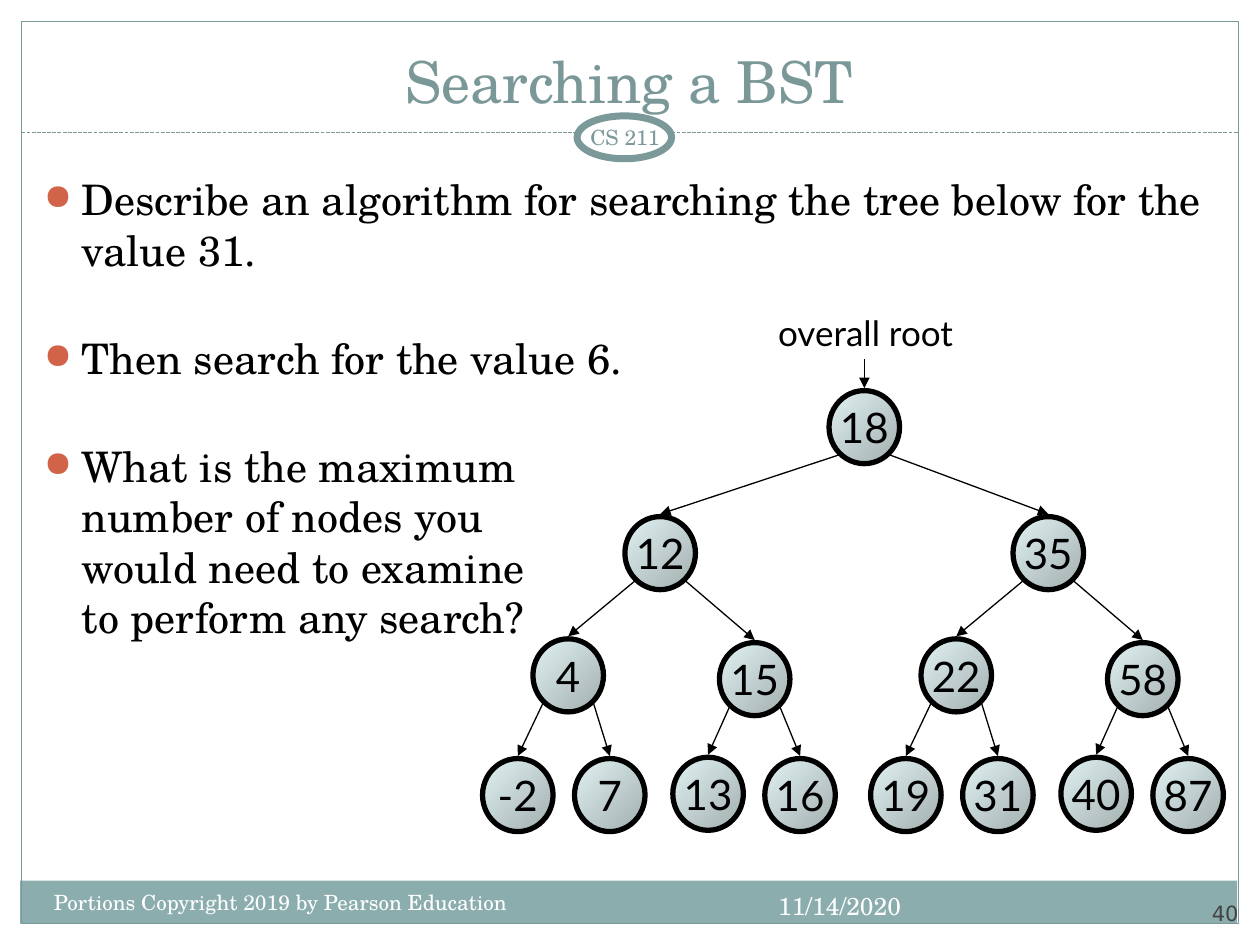
"""Build the slide on searching a binary search tree."""
from lxml import etree
from pptx import Presentation
from pptx.dml.color import RGBColor
from pptx.enum.dml import MSO_LINE
from pptx.enum.shapes import MSO_CONNECTOR, MSO_SHAPE as SHAPE
from pptx.enum.text import MSO_ANCHOR as ANCHOR, PP_ALIGN as ALIGN
from pptx.oxml.ns import qn
from pptx.util import Inches, Pt

SERIF = "TeX Gyre Schola"
SANS = "Lato"
TEAL = "7C999A"
color = RGBColor.from_string


def write(shape, text, size, font, ink, align=ALIGN.CENTER, anchor=ANCHOR.TOP, wrap=True, inset=None):
    frame = shape.text_frame
    frame.text = text
    frame.word_wrap = wrap
    frame.vertical_anchor = anchor
    if inset is not None:
        frame.margin_left = frame.margin_right = Inches(inset)
        frame.margin_top = frame.margin_bottom = Inches(inset)
    for para in frame.paragraphs:
        para.alignment = align
        for span in para.runs:
            span.font.size = Pt(size)
            span.font.name = font
            span.font.color.rgb = color(ink)


def connect(x1, y1, x2, y2, ink="000000", arrow=True):
    line = page.shapes.add_connector(
        MSO_CONNECTOR.STRAIGHT, Inches(x1), Inches(y1), Inches(x2), Inches(y2))
    line.line.color.rgb = color(ink)
    line.line.width = Pt(0.75)
    if arrow:
        outline = line.line._get_or_add_ln()
        etree.SubElement(outline, qn("a:tailEnd"), type="triangle")
    else:
        line.line.dash_style = MSO_LINE.SQUARE_DOT
    etree.SubElement(line._element.spPr, qn("a:effectLst"))


deck = Presentation()
deck.slide_width, deck.slide_height = Inches(10), Inches(7.5)
page = deck.slides.add_slide(deck.slide_layouts[6])

band = page.shapes.add_shape(SHAPE.RECTANGLE, Inches(0.16), Inches(6.99), Inches(9.66), Inches(0.34))
band.shadow.inherit = False
band.fill.solid()
band.fill.fore_color.rgb = color("8CADAE")
band.line.fill.background()

border = page.shapes.add_shape(SHAPE.RECTANGLE, Inches(0.17), Inches(0.17), Inches(9.66), Inches(7.16))
border.shadow.inherit = False
border.fill.background()
border.line.color.rgb = color(TEAL)
border.line.width = Pt(0.75)

connect(0.17, 1.05, 9.83, 1.05, TEAL, arrow=False)

badge = page.shapes.add_shape(SHAPE.OVAL, Inches(4.58), Inches(0.92), Inches(0.75), Inches(0.34))
badge.shadow.inherit = False
badge.fill.solid()
badge.fill.fore_color.rgb = color("FFFFFF")
badge.line.color.rgb = color(TEAL)
badge.line.width = Pt(4)

labels = [
    (9, 6.95, 0.83, 0.4, "40", 12, "DejaVu Sans", "424242", ALIGN.RIGHT, ANCHOR.BOTTOM, True, 0),
    (0.33, 0.25, 9.33, 0.71, "Searching a BST", 33, SERIF, "7B9899", ALIGN.CENTER, ANCHOR.BOTTOM),
    (6.07, 2.42, 1.6, 0.43, "overall root", 20, SANS, "000000", ALIGN.CENTER, ANCHOR.TOP, False),
    (5.59, 7.02, 1.66, 0.4, "11/14/2020", 14, SERIF, "FFFFFF", ALIGN.RIGHT),
    (0.33, 7.01, 4.08, 0.4, "Portions Copyright 2019 by Pearson Education", 12, SERIF, "FFFFFF", ALIGN.LEFT),
    (4.5, 0.92, 0.92, 0.33, "CS 211", 12, SERIF, TEAL, ALIGN.CENTER, ANCHOR.MIDDLE, True, 0.05),
]
for left, top, width, height, *style in labels:
    box = page.shapes.add_textbox(Inches(left), Inches(top), Inches(width), Inches(height))
    write(box, *style)

questions = [
    "Describe an algorithm for searching the tree below for the value 31.",
    "Then search for the value 6.",
    "What is the maximum\vnumber of nodes you\vwould need to examine\vto perform any search?",
]
body = page.shapes.add_textbox(Inches(0.25), Inches(1.33), Inches(9.5), Inches(5.58))
write(body, "\n".join(questions), 24, SERIF, "000000", ALIGN.LEFT)
for index, para in enumerate(body.text_frame.paragraphs):
    para.space_before = Pt(33 if index else 0)
    properties = para._p.get_or_add_pPr()
    properties.set("marL", str(Inches(0.3)))
    properties.set("indent", str(Inches(-0.3)))
    bullet_color = etree.SubElement(properties, qn("a:buClr"))
    etree.SubElement(bullet_color, qn("a:srgbClr"), val="D16349")
    etree.SubElement(properties, qn("a:buSzPct"), val="85000")
    etree.SubElement(properties, qn("a:buChar"), char="●")

NODE_WIDTH, NODE_HEIGHT = 0.56, 0.58
SUBTREE_SHIFT = 3.08
left_places = [(4.96, 4.1), (4.23, 5.07), (5.71, 5.1), (3.83, 6.02), (4.56, 6.02), (5.34, 6.01), (6.07, 6.02)]
left_values = [12, 4, 15, -2, 7, 13, 16]
right_values = [35, 22, 58, 19, 31, 40, 87]
subtrees = [
    [(value, left + shift, top) for value, (left, top) in zip(values, left_places)]
    for values, shift in ((left_values, 0), (right_values, SUBTREE_SHIFT))
]
root = (18, 6.58, 3.1)
edges = [(root, subtree[0], side) for subtree, side in zip(subtrees, (-1, 1))]
for subtree in subtrees:
    for child in range(1, len(subtree)):
        edges.append((subtree[(child - 1) // 2], subtree[child], -1 if child % 2 else 1))

connect(6.86, 2.85, 6.86, 3.08)
for (_, left, top), (_, child_left, child_top), side in edges:
    connect(left + NODE_WIDTH / 2 + side * 0.2, top + 0.51,
            child_left + NODE_WIDTH / 2, child_top - 0.02)

for value, left, top in [root, *subtrees[0], *subtrees[1]]:
    node = page.shapes.add_shape(
        SHAPE.OVAL, Inches(left), Inches(top), Inches(NODE_WIDTH), Inches(NODE_HEIGHT))
    node.shadow.inherit = False
    node.fill.gradient()
    node.fill.gradient_angle = 315
    for stop, position, tint in zip(node.fill.gradient_stops, (0, 1), ("E1F2F3", "A2AFAF")):
        stop.position = position
        stop.color.rgb = color(tint)
    node.line.color.rgb = color("000000")
    node.line.width = Pt(3)
    write(node, str(value), 24, SANS, "000000", anchor=ANCHOR.MIDDLE, wrap=False)

deck.save("out.pptx")
